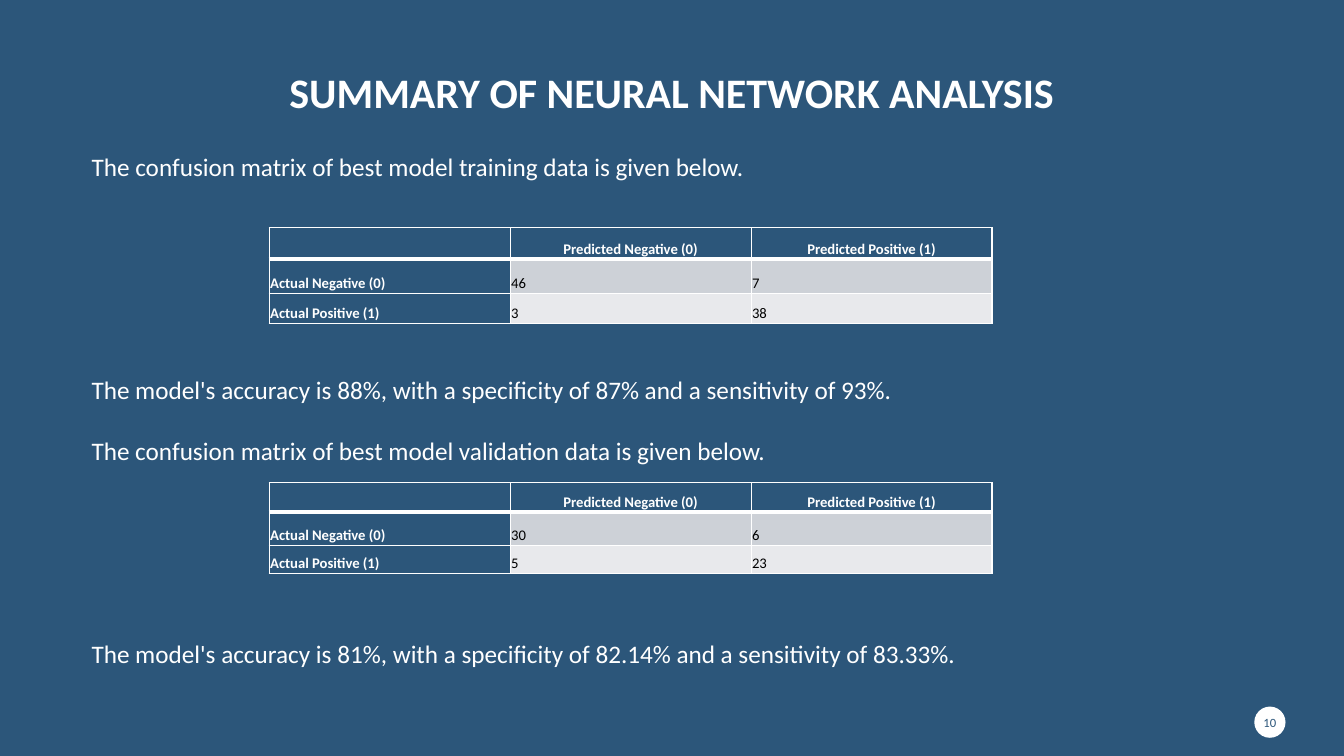
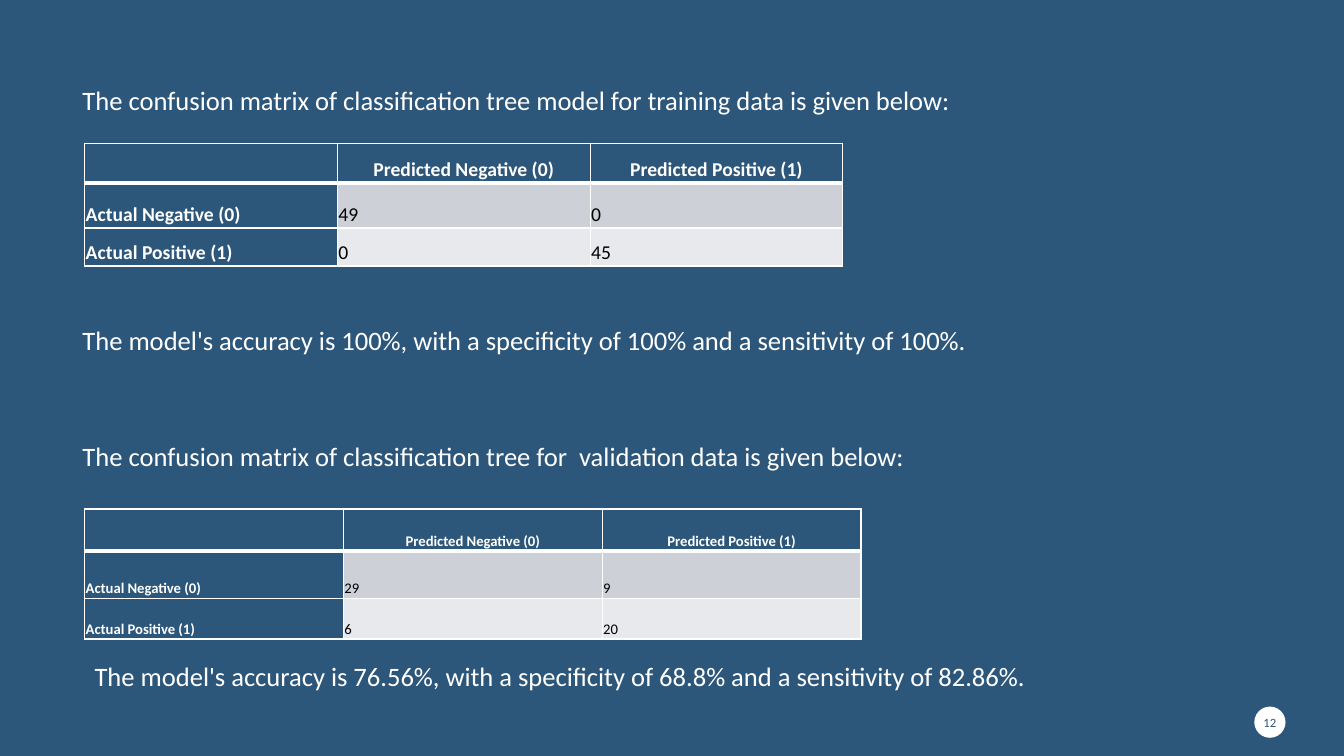
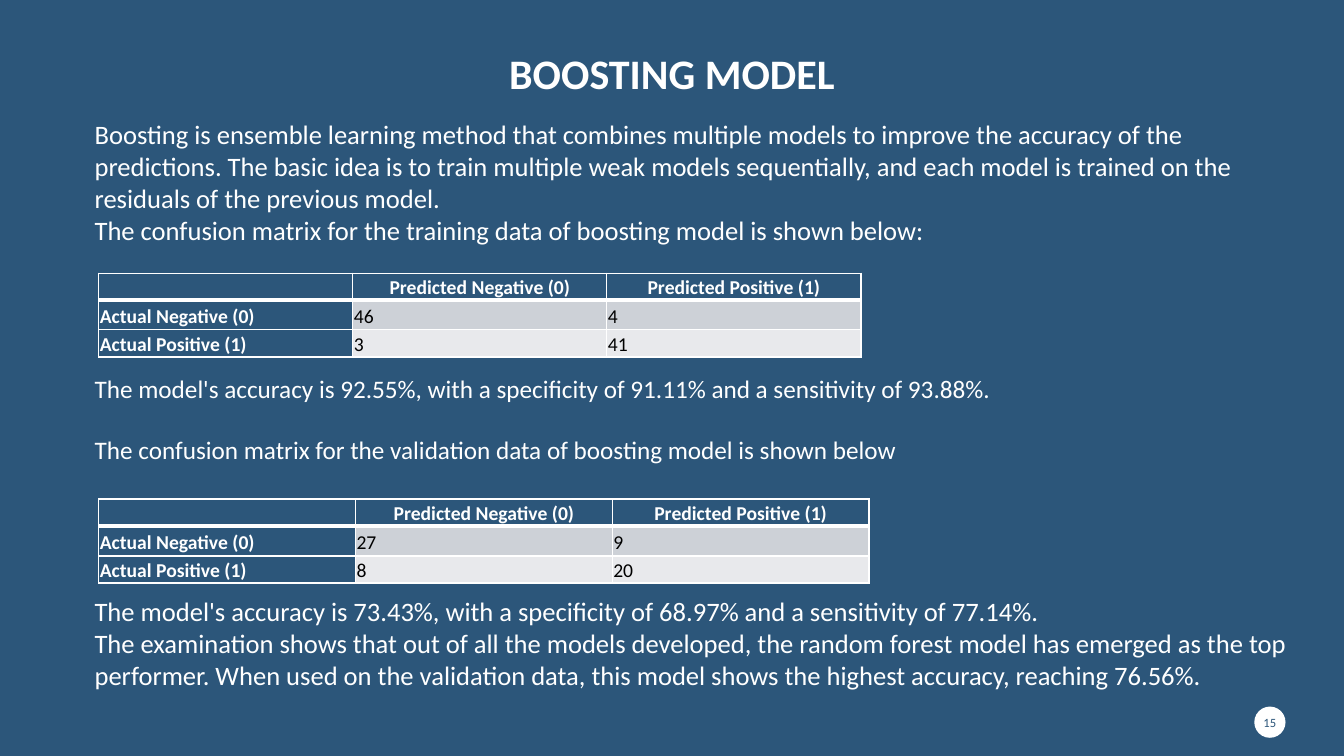
"""Build three slides of confusion matrices for classification models."""
from lxml.etree import SubElement
from pptx import Presentation
from pptx.dml.color import RGBColor
from pptx.enum.shapes import MSO_SHAPE as SHAPE
from pptx.enum.text import MSO_ANCHOR as ANCHOR, PP_ALIGN as ALIGN
from pptx.oxml.ns import qn
from pptx.util import Inches, Pt

NAVY = RGBColor(0x2C, 0x56, 0x7A)
WHITE = RGBColor(0xFF, 0xFF, 0xFF)
BLACK = RGBColor(0x00, 0x00, 0x00)
BAND_DARK = RGBColor(0xCD, 0xD1, 0xD7)
BAND_LIGHT = RGBColor(0xE8, 0xE9, 0xEC)

FONT = "Calibri"
TITLE = {"size": 30, "bold": True}
CELL_PARA = {"line_spacing": 1.07, "space_after": Pt(8)}
BLANK_LINE = 22
INSETS = ("margin_left", "margin_top", "margin_right", "margin_bottom")
ROW_SHARES = (0.325, 0.365, 0.31)
HEADINGS = ("", "Predicted Negative (0)", "Predicted Positive (1)")
ROW_LABELS = ("Actual Negative (0)", "Actual Positive (1)")


def apply(obj, values):
    for name, value in values.items():
        setattr(obj, name, value)


class Deck:
    def __init__(self):
        self.prs = Presentation()
        self.prs.slide_width = Inches(13.33)
        self.prs.slide_height = Inches(7.5)
        self.s = None

    def slide(self, number):
        self.s = self.prs.slides.add_slide(self.prs.slide_layouts[6])
        fill = self.s.background.fill
        fill.solid()
        fill.fore_color.rgb = NAVY
        sp = self.s.shapes.add_shape(SHAPE.OVAL, *map(Inches, (12.44, 7.01, 0.31, 0.31)))
        sp.shadow.inherit = False
        sp.fill.solid()
        sp.fill.fore_color.rgb = WHITE
        sp.line.fill.background()
        tf = sp.text_frame
        apply(tf, {"word_wrap": False, "vertical_anchor": ANCHOR.MIDDLE})
        apply(tf, dict.fromkeys(INSETS, 0))
        self.para(tf.paragraphs[0], str(number), 9, color=NAVY, layout={"alignment": ALIGN.CENTER})

    def para(self, p, text, size, bold=False, color=WHITE, layout=None):
        apply(p, layout or {})
        if not text:
            SubElement(p._p, qn("a:endParaRPr"), sz=str(int(size * 100)))
            return
        r = p.add_run()
        r.text = text
        apply(r.font, {"name": FONT, "size": Pt(size), "bold": bold})
        r.font.color.rgb = color

    def box(self, at, anchor=ANCHOR.TOP):
        tf = self.s.shapes.add_textbox(*map(Inches, at)).text_frame
        apply(tf, {"word_wrap": True, "vertical_anchor": anchor})
        return tf

    def title(self, text, height):
        tf = self.box((1.14, 0.45, 11.05, height), ANCHOR.BOTTOM)
        self.para(tf.paragraphs[0], text, **TITLE,
                  layout={"alignment": ALIGN.CENTER, "line_spacing": 0.9})

    def text(self, at, *lines, size=19, gap=0):
        tf = self.box(at)
        for i, line in enumerate(lines):
            p = tf.add_paragraph() if i else tf.paragraphs[0]
            self.para(p, line, size, layout={"space_before": Pt(gap if i else 0)})

    def border(self, cell, widths):
        tcPr = cell._tc.get_or_add_tcPr()
        for side, width in widths.items():
            ln = SubElement(tcPr, qn(f"a:ln{side}"), w=str(Pt(width)))
            fill = SubElement(ln, qn("a:solidFill"))
            SubElement(fill, qn("a:srgbClr"), val=str(WHITE))

    def matrix(self, at, values, size=14):
        tbl = self.s.shapes.add_table(3, 3, *map(Inches, at)).table
        apply(tbl, {"first_row": False, "horz_banding": False})
        for row, share in zip(tbl.rows, ROW_SHARES):
            row.height = Inches(at[3] * share)
        rows = [HEADINGS] + [(label, *pair) for label, pair in zip(ROW_LABELS, values)]
        for i, row in enumerate(rows):
            for j, value in enumerate(row):
                self.cell(tbl.cell(i, j), i, j, str(value), size)

    def cell(self, cell, i, j, text, size):
        label = i == 0 or j == 0
        self.border(cell, {"L": 1, "R": 1, "T": 3 if i == 1 else 1, "B": 3 if i == 0 else 1})
        cell.fill.solid()
        cell.fill.fore_color.rgb = NAVY if label else (BAND_DARK, BAND_LIGHT)[i - 1]
        apply(cell, dict.fromkeys(INSETS, Inches(0.01)))
        cell.vertical_anchor = ANCHOR.BOTTOM
        self.para(cell.text_frame.paragraphs[0], text, size, label, WHITE if label else BLACK,
                  {**CELL_PARA, "alignment": ALIGN.LEFT if i else ALIGN.CENTER})


def main():
    deck = Deck()

    deck.slide(10)
    deck.title("SUMMARY OF NEURAL NETWORK ANALYSIS", 0.77)
    deck.text((0.81, 1.45, 12.02, 0.4),
              "The confusion matrix of best model training data is given below.", size=18)
    deck.matrix((2.67, 2.26, 7.17, 0.95), ((46, 7), (3, 38)), 10.5)
    deck.text((0.81, 3.66, 9.17, 1.01),
              "The model's accuracy is 88%, with a specificity of 87% and a sensitivity of 93%.",
              "The confusion matrix of best model validation data is given below.",
              size=18, gap=BLANK_LINE)
    deck.matrix((2.67, 4.79, 7.17, 0.9), ((30, 6), (5, 23)), 10.5)
    deck.text((0.81, 6.28, 8.87, 0.4),
              "The model's accuracy is 81%, with a specificity of 82.14% "
              "and a sensitivity of 83.33%.", size=18)

    deck.slide(12)
    deck.text((0.72, 0.78, 9.26, 0.74),
              "The confusion matrix of classification tree model for training data is given below:")
    deck.text((0.72, 3.16, 12.64, 0.42),
              "The model's accuracy is 100%, with a specificity of 100% and a sensitivity of 100%.")
    deck.text((0.72, 4.32, 9.54, 0.74),
              "The confusion matrix of classification tree for  validation data is given below:")
    deck.text((0.84, 6.5, 12.64, 0.42),
              "The model's accuracy is 76.56%, with a specificity of 68.8% "
              "and a sensitivity of 82.86%.")
    deck.matrix((0.84, 1.42, 7.52, 1.22), ((49, 0), (0, 45)))
    deck.matrix((0.84, 5.05, 7.7, 1.29), ((29, 9), (6, 20)), 10.5)

    deck.slide(15)
    deck.title("BOOSTING MODEL", 0.58)
    deck.text((0.84, 1.12, 12.02, 1.38),
              "Boosting is ensemble learning method that combines multiple models to improve the "
              "accuracy of the predictions. The basic idea is to train multiple weak models "
              "sequentially, and each model is trained on the residuals of the previous model.",
              "The confusion matrix for the training data of boosting model is shown below:")
    deck.text((0.84, 3.65, 12.12, 1.01),
              "The model's accuracy is 92.55%, with a specificity of 91.11% "
              "and a sensitivity of 93.88%.",
              "The confusion matrix for the validation data of boosting model is shown below",
              size=18, gap=BLANK_LINE)
    deck.text((0.84, 5.85, 12.64, 1.06),
              "The model's accuracy is 73.43%, with a specificity of 68.97% "
              "and a sensitivity of 77.14%.",
              "The examination shows that out of all the models developed, the random forest model "
              "has emerged as the top performer. When used on the validation data, this model "
              "shows the highest accuracy, reaching 76.56%.")
    deck.matrix((0.98, 2.71, 7.56, 0.8), ((46, 4), (3, 41)))
    deck.matrix((0.98, 4.95, 7.64, 0.81), ((27, 9), (8, 20)))

    deck.prs.save("out.pptx")


if __name__ == "__main__":
    main()
